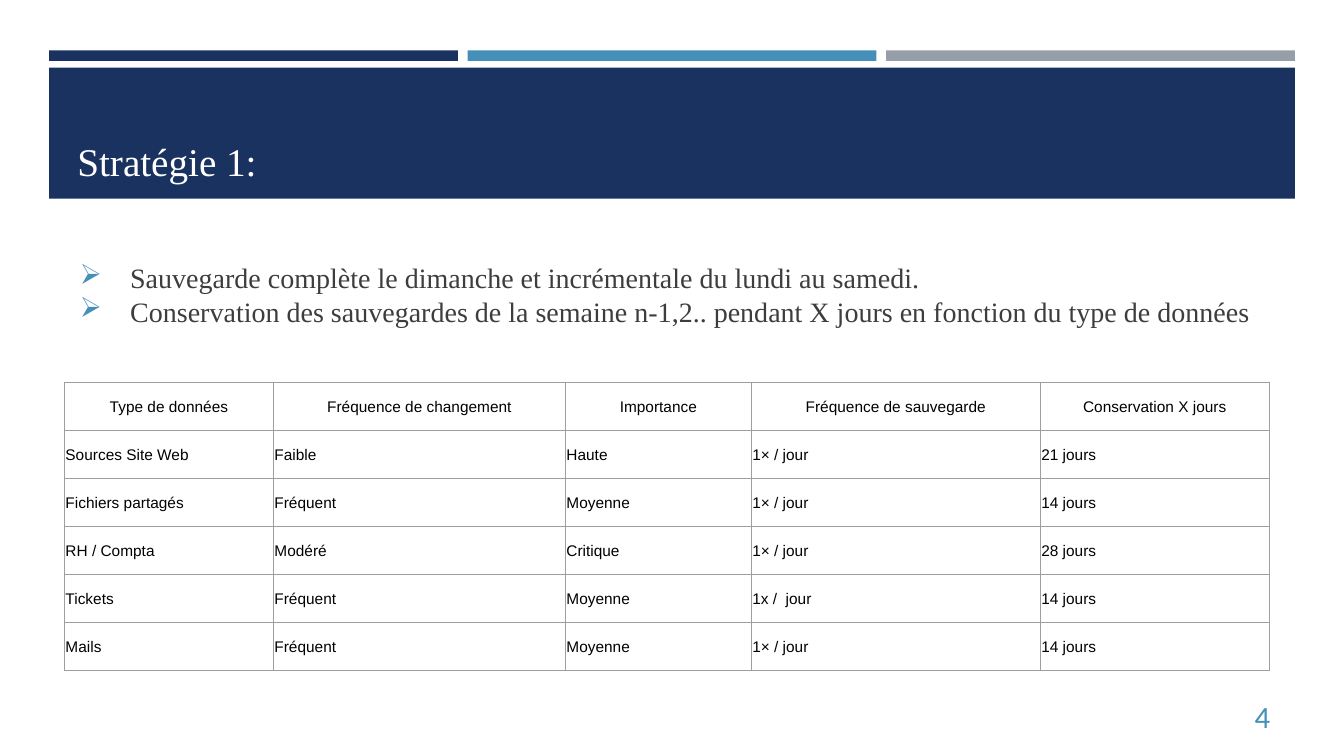
import pptx
import pptx.dml.color
import pptx.enum.shapes
import pptx.enum.text
import pptx.oxml
import pptx.oxml.ns
import pptx.util

Pt = pptx.util.Pt
ANCHOR = pptx.enum.text.MSO_ANCHOR
ALIGN = pptx.enum.text.PP_ALIGN

COLOURS = {
    "navy": "1A3260",
    "blue": "4590B8",
    "grey": "969FA7",
    "white": "FFFFFF",
    "body": "3D3D3D",
    "black": "000000",
    "border": "9E9E9E",
}

BULLETS = [
    "Sauvegarde complète le dimanche et incrémentale du lundi au samedi.",
    "Conservation des sauvegardes de la semaine n-1,2.. pendant X jours en fonction du type de données",
]

BACKUP_ROWS = [
    ["Type de données", "Fréquence de changement", "Importance",
     "Fréquence de sauvegarde", "Conservation X jours"],
    ["Sources Site Web", "Faible", "Haute", "1× / jour", "21 jours"],
    ["Fichiers partagés", "Fréquent", "Moyenne", "1× / jour", "14 jours"],
    ["RH / Compta", "Modéré", "Critique", "1× / jour", "28 jours"],
    ["Tickets", "Fréquent", "Moyenne", "1x /  jour", "14 jours"],
    ["Mails", "Fréquent", "Moyenne", "1× / jour", "14 jours"],
]
COLUMN_WIDTHS = [149.3, 208.6, 132.8, 206.4, 163.6]
ROW_HEIGHT = 34.3


def rgb(colour):
    return pptx.dml.color.RGBColor.from_string(COLOURS[colour])


def drawing_xml(tag, attributes="", content=""):
    namespace = pptx.oxml.ns.nsdecls("a")
    return pptx.oxml.parse_xml(f"<a:{tag} {namespace} {attributes}>{content}</a:{tag}>")


def add_block(slide, left, top, width, height, colour):
    block = slide.shapes.add_shape(
        pptx.enum.shapes.MSO_SHAPE.RECTANGLE, Pt(left), Pt(top), Pt(width), Pt(height))
    block.shadow.inherit = False
    block.fill.solid()
    block.fill.fore_color.rgb = rgb(colour)
    block.line.fill.background()


def write(paragraph, text, font, size, colour, align=ALIGN.LEFT):
    paragraph.alignment = align
    run = paragraph.add_run()
    run.text = text
    run.font.name = font
    run.font.size = Pt(size)
    run.font.color.rgb = rgb(colour)


def add_text_frame(slide, left, top, width, height, anchor):
    frame = slide.shapes.add_textbox(Pt(left), Pt(top), Pt(width), Pt(height)).text_frame
    frame.word_wrap = True
    frame.vertical_anchor = anchor
    return frame


def add_arrow_bullet(paragraph):
    properties = paragraph._p.get_or_add_pPr()
    properties.set("marL", str(Pt(42)))
    properties.set("indent", str(Pt(-36)))
    properties.append(drawing_xml("buClr", content=f'<a:srgbClr val="{COLOURS["blue"]}"/>'))
    properties.append(drawing_xml("buFont", 'typeface="Wingdings"'))
    properties.append(drawing_xml("buChar", 'char="Ø"'))


def add_bullet_list(slide, left, top, width, height, lines):
    frame = add_text_frame(slide, left, top, width, height, ANCHOR.MIDDLE)
    for index, line in enumerate(lines):
        paragraph = frame.add_paragraph() if index else frame.paragraphs[0]
        add_arrow_bullet(paragraph)
        write(paragraph, line, "Times New Roman", 20, "body")


def style_cell(cell):
    cell.vertical_anchor = ANCHOR.MIDDLE
    cell.margin_left = cell.margin_right = cell.margin_top = Pt(0.7)
    cell.margin_bottom = Pt(0)
    properties = cell._tc.get_or_add_tcPr()
    for side in ("lnL", "lnR", "lnT", "lnB"):
        properties.append(drawing_xml(
            side, f'w="{Pt(0.75)}"',
            f'<a:solidFill><a:srgbClr val="{COLOURS["border"]}"/></a:solidFill>'))
    cell.fill.background()


def add_grid(slide, left, top, rows):
    grid = slide.shapes.add_table(
        len(rows), len(COLUMN_WIDTHS), Pt(left), Pt(top),
        Pt(sum(COLUMN_WIDTHS)), Pt(ROW_HEIGHT * len(rows))).table
    grid.first_row = False
    grid.horz_banding = False
    for column, width in zip(grid.columns, COLUMN_WIDTHS):
        column.width = Pt(width)
    for row_index, texts in enumerate(rows):
        grid.rows[row_index].height = Pt(ROW_HEIGHT)
        align = ALIGN.LEFT if row_index else ALIGN.CENTER
        for column_index, text in enumerate(texts):
            cell = grid.cell(row_index, column_index)
            style_cell(cell)
            write(cell.text_frame.paragraphs[0], text, "Arial", 11, "black", align)


def main():
    deck = pptx.Presentation()
    deck.slide_width, deck.slide_height = Pt(960), Pt(540)
    slide = deck.slides.add_slide(deck.slide_layouts[6])

    # Three accent bars above the title band
    for index, colour in enumerate(["navy", "blue", "grey"]):
        add_block(slide, 35 + 299 * index, 36, 292, 7.5, colour)
    add_block(slide, 35, 48.4, 890, 93.6, "navy")

    # Title and page number
    title = add_text_frame(slide, 48.2, 57.6, 868.3, 77.8, ANCHOR.BOTTOM)
    write(title.paragraphs[0], "Stratégie 1:", "Times New Roman", 28, "white")
    page_number = add_text_frame(slide, 831.6, 497.5, 82.8, 28.8, ANCHOR.MIDDLE)
    write(page_number.paragraphs[0], "4", "Calibri", 22, "blue", ALIGN.RIGHT)

    # Strategy points and backup table
    add_bullet_list(slide, 43.9, 153.4, 868.3, 113.8, BULLETS)
    add_grid(slide, 46.1, 273, BACKUP_ROWS)

    deck.save("out.pptx")


if __name__ == "__main__":
    main()
